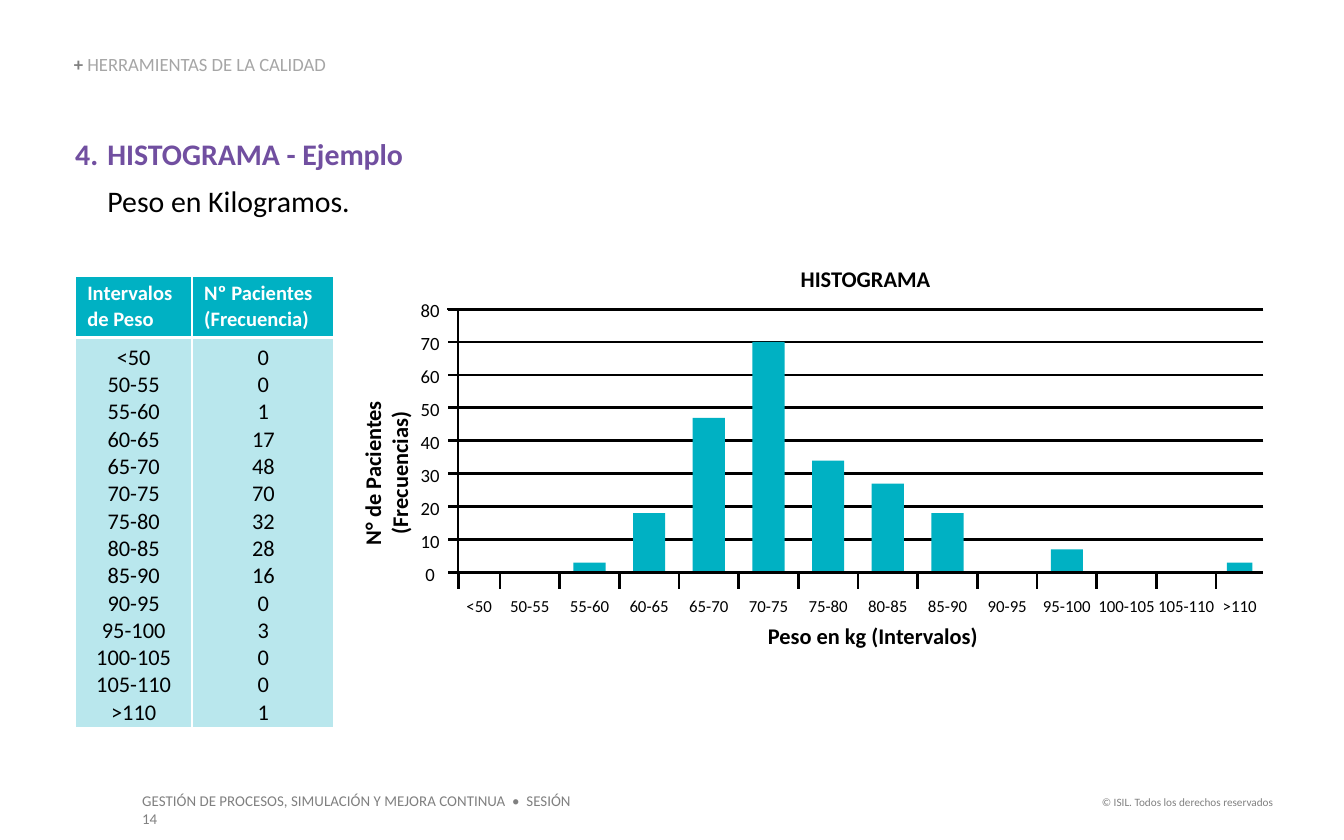
"""Build the histogram example slide."""
from dataclasses import dataclass

from lxml import etree
from pptx import Presentation
from pptx.dml.color import RGBColor
from pptx.enum.shapes import MSO_CONNECTOR, MSO_SHAPE
from pptx.enum.text import MSO_ANCHOR, MSO_AUTO_SIZE, PP_ALIGN
from pptx.oxml.ns import qn
from pptx.util import Inches, Pt

LEFT, MID, RIGHT = PP_ALIGN.LEFT, PP_ALIGN.CENTER, PP_ALIGN.RIGHT
TOP, CENTER, BOTTOM = MSO_ANCHOR.TOP, MSO_ANCHOR.MIDDLE, MSO_ANCHOR.BOTTOM
STRAIGHT, ELBOW = MSO_CONNECTOR.STRAIGHT, MSO_CONNECTOR.ELBOW
RECT = MSO_SHAPE.RECTANGLE
COLS = 100


@dataclass(frozen=True)
class Theme:
    """Colours, font and type sizes."""
    font: str = "Calibri"
    ink: str = "000000"
    white: str = "FFFFFF"
    gray: str = "808080"
    pale: str = "A6A6A6"
    violet: str = "714FA0"
    teal: str = "00B1C3"
    tint: str = "B9E7ED"
    head: int = 16
    label: int = 12
    cell: int = 11
    scale: int = 10
    tick: int = 9
    foot: int = 8
    legal: int = 6
    line: float = 1.5


class Deck:
    """Hold the theme and the current slide, and draw in grid units."""

    def __init__(self, theme):
        """Start a file with one title-only slide."""
        self.theme = theme
        self.file = Presentation()
        self.file.slide_width = Inches(10)
        self.file.slide_height = Inches(6.25)
        self.unit = self.file.slide_width / COLS
        self.slide = self.file.slides.add_slide(self.file.slide_layouts[5])
        self.home = self.slide.shapes

    def span(self, *sizes):
        """Turn grid units into lengths."""
        return [round(size * self.unit) for size in sizes]

    def style(self, para, size, color, bold=False, align=LEFT):
        """Format a paragraph and its runs."""
        para.alignment = align
        for run in para.runs:
            run.font.name = self.theme.font
            run.font.size = Pt(size)
            run.font.bold = bold
            run.font.color.rgb = RGBColor.from_string(color)

    def pad(self, frame, left=0, top=0, right=0, bottom=0):
        """Set the inner margins of a frame or cell."""
        (frame.margin_left, frame.margin_top,
         frame.margin_right, frame.margin_bottom) = self.span(left, top, right, bottom)

    def title(self, box, mark, words):
        """Place the title with a bold mark before it."""
        shape = self.slide.shapes.title
        shape.left, shape.top, shape.width, shape.height = self.span(*box)
        frame = shape.text_frame
        frame.auto_size = MSO_AUTO_SIZE.NONE
        frame.word_wrap = True
        frame.vertical_anchor = BOTTOM
        self.pad(frame)
        para = frame.paragraphs[0]
        para.line_spacing = 0.9
        for part in (mark, words):
            para.add_run().text = part
        self.style(para, self.theme.scale, self.theme.pale)
        font = para.runs[0].font
        font.bold = True
        font.color.rgb = RGBColor.from_string(self.theme.gray)

    def text(self, box, words, size, color=None, bold=False, align=MID, pad=(), turn=0):
        """Add a text box."""
        shape = self.home.add_textbox(*self.span(*box))
        shape.rotation = turn
        frame = shape.text_frame
        frame.word_wrap = True
        self.pad(frame, *pad)
        frame.text = words
        for para in frame.paragraphs:
            self.style(para, size, color or self.theme.ink, bold, align)
        return frame

    def topic(self, box, start, words, note):
        """Add a numbered heading with a note under it."""
        frame = self.text(box, f"{words}\n{note}", self.theme.head, align=LEFT, pad=(0, 0, 0, 0.5))
        head, body = frame.paragraphs
        self.style(head, self.theme.head, self.theme.violet, True)
        head.space_after = Pt(6)
        inset = self.span(2.4)[0]
        for para, hang in ((head, -inset), (body, 0)):
            props = para._p.get_or_add_pPr()
            props.set("marL", str(inset))
            props.set("indent", str(hang))
        etree.SubElement(head._p.pPr, qn("a:buAutoNum"), type="arabicPeriod", startAt=str(start))

    def line(self, ends, kind=STRAIGHT, bend=None):
        """Add a line, or an elbow that turns at a share of its width."""
        link = self.home.add_connector(kind, *self.span(*ends))
        link.line.color.rgb = RGBColor.from_string(self.theme.ink)
        link.line.width = Pt(self.theme.line)
        props = link._element.spPr
        etree.SubElement(props, qn("a:effectLst"))
        if bend is not None:
            guides = props.find(qn("a:prstGeom")).find(qn("a:avLst"))
            etree.SubElement(guides, qn("a:gd"), name="adj1", fmla=f"val {round(bend * 100000)}")

    def bar(self, box):
        """Add a filled bar."""
        shape = self.home.add_shape(RECT, *self.span(*box))
        shape.shadow.inherit = False
        shape.fill.solid()
        shape.fill.fore_color.rgb = RGBColor.from_string(self.theme.teal)
        shape.line.fill.background()

    def cell(self, cell, words, fill, look, anchor, pad):
        """Fill, border and format one table cell."""
        cell.text_frame.text = words
        cell.vertical_anchor = anchor
        self.pad(cell, *pad)
        for para in cell.text_frame.paragraphs:
            self.style(para, *look)
        props = cell._tc.get_or_add_tcPr()
        for side in ("lnL", "lnR", "lnT", "lnB"):
            edge = etree.SubElement(props, qn(f"a:{side}"), w=str(Pt(self.theme.line)))
            paint = etree.SubElement(edge, qn("a:solidFill"))
            etree.SubElement(paint, qn("a:srgbClr"), val=self.theme.white)
        cell.fill.solid()
        cell.fill.fore_color.rgb = RGBColor.from_string(fill)

    def table(self, box, cols, rows, heads, lists):
        """Add a table with a header row and one list per column."""
        theme = self.theme
        grid = self.home.add_table(2, len(cols), *self.span(*box)).table
        grid.horz_banding = False
        for row, size in zip(grid.rows, self.span(*rows)):
            row.height = size
        for at, size in enumerate(self.span(*cols)):
            grid.columns[at].width = size
            self.cell(grid.cell(0, at), heads[at], theme.teal,
                      (theme.cell, theme.white, True), CENTER, (0.9, 0.4, 0.9, 0.4))
            self.cell(grid.cell(1, at), "\n".join(lists[at]), theme.tint,
                      (theme.label, theme.ink, False, MID), TOP, (0.9, 0.5, 0.9, 0))

    def graph(self, names, values):
        """Draw the grouped histogram with its scale and labels."""
        theme = self.theme
        self.home = self.slide.shapes.add_group_shape().shapes
        start, axis, end, base, step = 33.3, 34.1, 94, 42.6, 2.45
        for mark in range(9):
            y = base - mark * step
            self.line((end if mark else axis, y, start, y))
            self.text((30.8, y - 0.75, 2.4, 1.7), str(mark * 10), theme.scale)
        ticks = [axis] + [37.2 + 4.44 * at for at in range(len(names) - 1)]
        for name, value, left, right in zip(names, values, ticks, ticks[1:] + [end]):
            mid, wide = (left + right) / 2, (right - left) * 0.54
            self.line((left, base, left, base + 1.2))
            self.text((mid - 2.2, 44.3, 4.4, 1.5), name, theme.tick)
            if value:
                tall = value * step / 10
                self.bar((mid - wide / 2, base - tall, wide, tall))
        self.line((start, base - 8 * step, end, base), ELBOW, (axis - start) / (end - start))
        self.text((57.5, 19.7, 13.8, 2), "HISTOGRAMA", theme.label, bold=True)
        self.text((54.4, 46.3, 21.1, 2), "Peso en kg (Intervalos)", theme.label, bold=True)
        self.home = self.slide.shapes


def main():
    """Build and save the slide."""
    theme = Theme()
    deck = Deck(theme)
    names = ["<50", *(f"{low}-{low + 5}" for low in range(50, 110, 5)), ">110"]
    counts = [0, 0, 1, 17, 48, 70, 32, 28, 16, 0, 3, 0, 0, 1]
    drawn = [0, 0, 3, 18, 47, 70, 34, 27, 18, 0, 7, 0, 0, 3]
    deck.text((80.7, 58.7, 15, 2), "© ISIL. Todos los derechos reservados",
              theme.legal, theme.gray, align=RIGHT, pad=(0, 0.5, 1, 0.5))
    deck.text((9.6, 58.4, 35.3, 2.4),
              "GESTIÓN DE PROCESOS, SIMULACIÓN Y MEJORA CONTINUA  •  SESIÓN 14",
              theme.foot, theme.gray, align=LEFT, pad=(1, 0.5, 1, 0.5))
    deck.title((5.5, 4.1, 26.6, 1.5), "+ ", "HERRAMIENTAS DE LA CALIDAD")
    deck.topic((5.6, 10.1, 88.4, 6.7), 4, "HISTOGRAMA - Ejemplo", "Peso en Kilogramos.")
    deck.graph(names, drawn)
    deck.table((5.6, 20.5, 19.3, 33.7), (8.7, 10.6), (4.6, 29.1),
               ("Intervalos de Peso", "Nº Pacientes (Frecuencia)"), (names, map(str, counts)))
    deck.text((21.8, 33.2, 13.8, 4), "N° de Pacientes (Frecuencias)",
              theme.label, bold=True, turn=270)
    deck.file.save("out.pptx")


if __name__ == "__main__":
    main()
